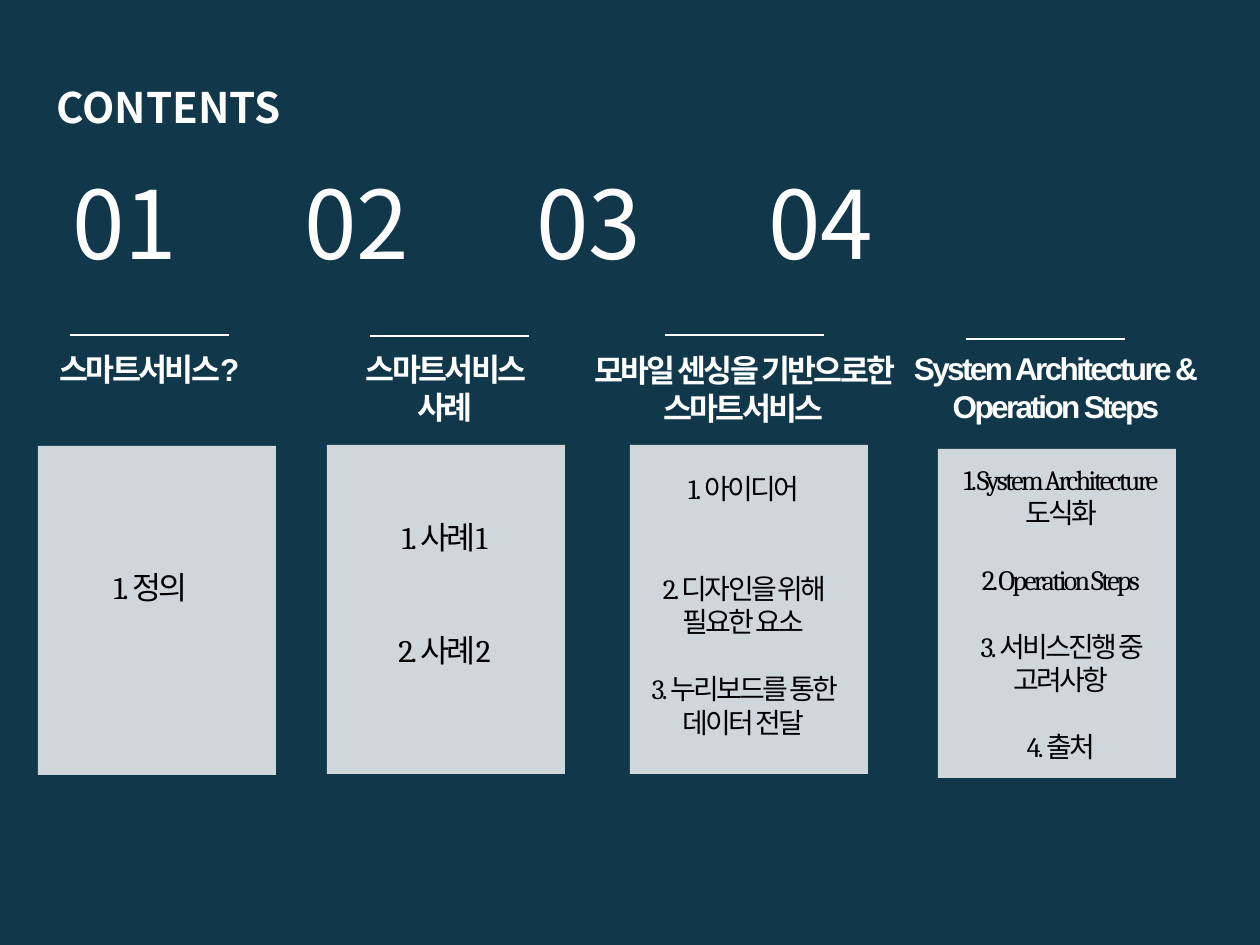
import pptx
import pptx.util
import pptx.dml.color
import pptx.enum.shapes
import pptx.enum.text
import pptx.oxml
import pptx.oxml.ns
from lxml import etree

COLORS = {"navy": "10374A", "white": "FFFFFF", "black": "000000"}
SANS = "Noto Sans CJK KR"
PX = 914400 / 126
PANEL_W, PANEL_H, RULE_W = 238, 329, 159
NUMBERS = ["01", "02", "03", "04"]
NUMBER_START, NUMBER_STEP = 42, 232

# Each item is (text, blank lines above it); boxes are (left, top, width, height).
SECTIONS = [
    {"panel": (38, 446), "rule": (70, 335),
     "heading": ["스마트서비스?"], "heading_box": (-1, 344, 301, 50),
     "items": [("1. 정의", 0)], "items_box": (27, 562, 247, 174), "size": 18},
    {"panel": (327, 445), "rule": (370, 336),
     "heading": ["스마트서비스 사례"], "heading_box": (331, 344, 228, 89),
     "items": [("1. 사례1", 0), ("2. 사례2", 2)],
     "items_box": (321, 512, 247, 326), "size": 18},
    {"panel": (630, 445), "rule": (665, 335),
     "heading": ["모바일 센싱을 기반으로한 스마트서비스"],
     "heading_box": (578, 345, 331, 89),
     "items": [("1. 아이디어", 0), ("2. 디자인을 위해 필요한 요소", 2),
               ("3. 누리보드를 통한 데이터 전달", 1)],
     "items_box": (620, 465, 247, 420), "size": 16},
    {"panel": (938, 449), "rule": (966, 339),
     "heading": ["System Architecture &", "Operation Steps"],
     "heading_box": (896, 343, 320, 89),
     "items": [("1. System Architecture", 0), ("도식화", 0),
               ("2. Operation Steps", 1), ("3. 서비스진행 중 고려사항", 1),
               ("4. 출처", 1)],
     "items_box": (942, 456, 238, 318), "size": 16},
]


def emu(*lengths):
    return [pptx.util.Emu(round(n * PX)) for n in lengths]


def rgb(name):
    return pptx.dml.color.RGBColor.from_string(COLORS[name])


def add_text(p, text, size, font, color="white", bold=False, spacing=0):
    """Add a run; spacing is the letter spacing in points."""
    r = p.add_run()
    r.text = text
    r.font.size = pptx.util.Pt(size)
    r.font.name = font
    r.font.bold = bold
    r.font.color.rgb = rgb(color)
    if spacing:
        r._r.get_or_add_rPr().set("spc", str(round(spacing * 100)))


def add_box(s, box):
    tf = s.shapes.add_textbox(*emu(*box)).text_frame
    tf.word_wrap = True
    return tf


def add_centered(s, box, items, size, **style):
    tf = add_box(s, box)
    for i, (text, blanks) in enumerate(items):
        p = tf.paragraphs[0] if i == 0 else tf.add_paragraph()
        p.alignment = pptx.enum.text.PP_ALIGN.CENTER
        p.space_before = pptx.util.Pt(round(blanks * size * 1.2))
        add_text(p, text, size, spacing=-1.5, **style)


def add_panel(s, left, top):
    sp = s.shapes.add_shape(pptx.enum.shapes.MSO_SHAPE.RECTANGLE,
                            *emu(left, top, PANEL_W, PANEL_H))
    sp.shadow.inherit = False
    sp.fill.solid()
    sp.fill.fore_color.rgb = rgb("white")
    sp.line.fill.background()
    clr = sp._element.spPr.find(".//" + pptx.oxml.ns.qn("a:srgbClr"))
    etree.SubElement(clr, pptx.oxml.ns.qn("a:alpha"), val="80000")


def add_rule(s, left, top):
    line = s.shapes.add_connector(pptx.enum.shapes.MSO_CONNECTOR.STRAIGHT,
                                  *emu(left, top, left + RULE_W, top))
    line.line.color.rgb = rgb("white")
    line.line.width = pptx.util.Pt(0.75)
    etree.SubElement(line._element.spPr, pptx.oxml.ns.qn("a:effectLst"))


def add_numbers(s):
    """Set the section numbers in one line, each at its own tab stop."""
    p = add_box(s, (18, 159, 1206, 127)).paragraphs[0]
    tabs = etree.SubElement(p._p.get_or_add_pPr(), pptx.oxml.ns.qn("a:tabLst"))
    for i in range(len(NUMBERS)):
        pos = emu(NUMBER_START + i * NUMBER_STEP)[0]
        etree.SubElement(tabs, pptx.oxml.ns.qn("a:tab"), pos=str(pos), algn="l")
    add_text(p, "".join("\t" + n for n in NUMBERS), 54, SANS)


def add_title(s, text):
    title = s.shapes.title
    title.left, title.top, title.width, title.height = emu(44, 75, 576, 63)
    tf = title.text_frame
    tf.auto_size = pptx.enum.text.MSO_AUTO_SIZE.NONE
    tf.vertical_anchor = pptx.enum.text.MSO_ANCHOR.TOP
    tf.paragraphs[0].alignment = pptx.enum.text.PP_ALIGN.LEFT
    add_text(tf.paragraphs[0], text, 24, SANS, bold=True)


def main():
    prs = pptx.Presentation()
    prs.slide_width, prs.slide_height = emu(1260, 945)
    s = prs.slides.add_slide(prs.slide_layouts[5])
    s.background.fill.solid()
    s.background.fill.fore_color.rgb = rgb("navy")
    add_title(s, "CONTENTS")
    add_numbers(s)
    for sec in SECTIONS:
        add_panel(s, *sec["panel"])
        add_rule(s, *sec["rule"])
        add_centered(s, sec["heading_box"], [(t, 0) for t in sec["heading"]],
                     18, font="Arial", bold=True)
        add_centered(s, sec["items_box"], sec["items"], sec["size"],
                     font="Cambria", color="black")
    prs.save("out.pptx")


if __name__ == "__main__":
    main()
